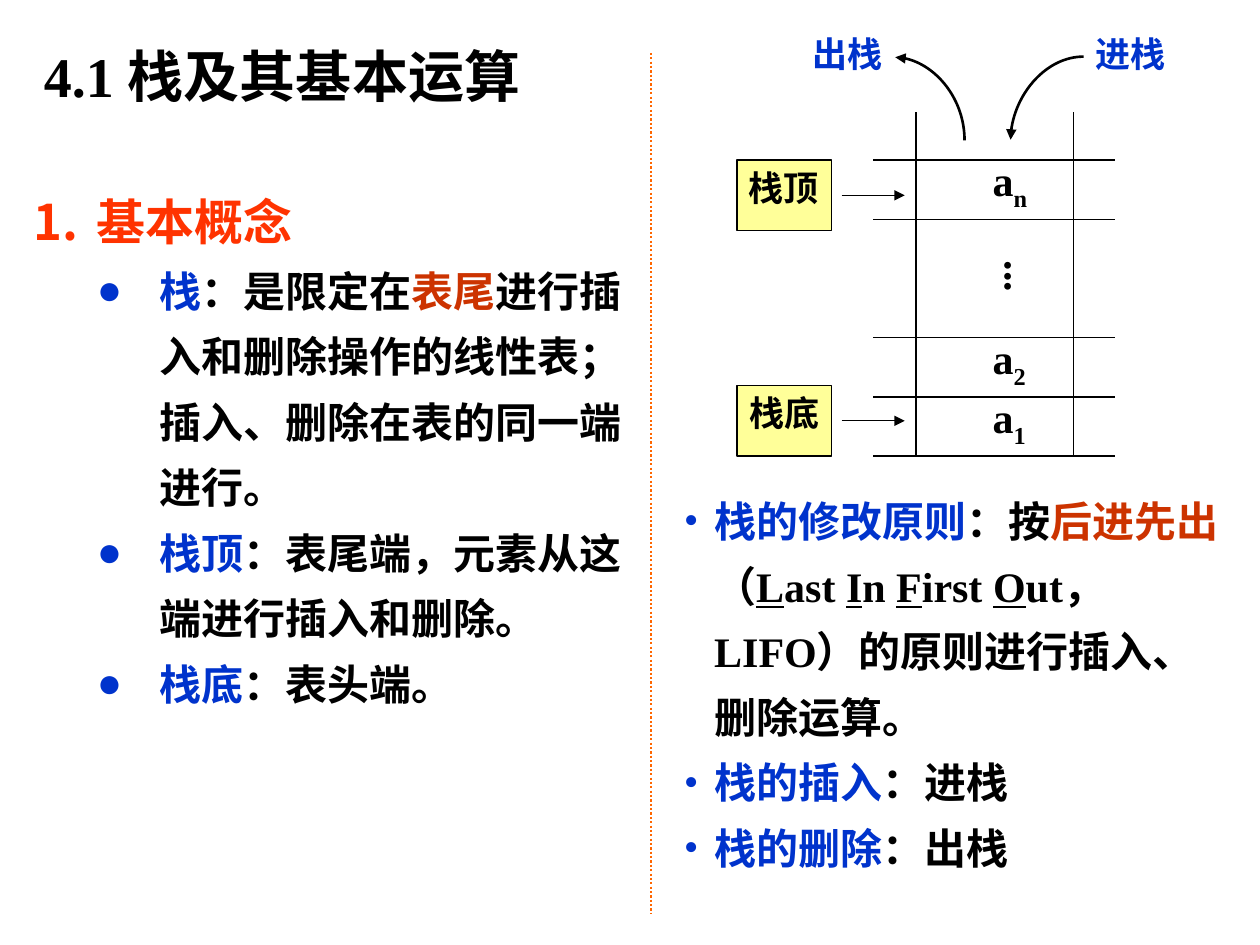
"""Build a slide on the stack data structure and its basic operations."""
from dataclasses import dataclass

import pptx
import pptx.dml.color
import pptx.enum.dml
import pptx.enum.shapes
import pptx.enum.text
import pptx.oxml.ns
import pptx.util
from lxml import etree

Inches = pptx.util.Inches
qn = pptx.oxml.ns.qn
FONT = "Times New Roman"
BLACK, BLUE, RED, ORANGE = "000000", "0033CC", "CC3300", "FF3300"


@dataclass
class Run:
    text: str
    color: str = BLACK
    underline: bool = False
    subscript: bool = False


@dataclass
class Para:
    runs: list[Run]
    size: float = 24
    spacing: float | None = None
    level: int = 0
    bullet: str = ""
    margin: float = 0
    hanging: float = 0


@dataclass
class Label:
    left: float
    top: float
    width: float
    height: float
    paras: list[Para]
    wrap: bool = True


@dataclass
class Line:
    x1: float
    y1: float
    x2: float
    y2: float
    width: float = 0.75
    color: str = BLACK
    head: bool = False
    tail: bool = False
    rotation: int | None = None


def rgb(color: str) -> pptx.dml.color.RGBColor:
    return pptx.dml.color.RGBColor.from_string(color)


def set_bullet(p, para: Para) -> None:
    pPr = p._p.get_or_add_pPr()
    pPr.set("marL", str(Inches(para.margin)))
    pPr.set("indent", str(-Inches(para.hanging)))
    clr = etree.SubElement(pPr, qn("a:buClr"))
    etree.SubElement(clr, qn("a:srgbClr"), val=para.runs[0].color)
    if para.bullet == "1.":
        etree.SubElement(pPr, qn("a:buAutoNum"), type="arabicPeriod")
    else:
        etree.SubElement(pPr, qn("a:buFont"), typeface=FONT)
        etree.SubElement(pPr, qn("a:buChar"), char=para.bullet)


def fill_para(p, para: Para) -> None:
    p.level = para.level
    if para.spacing:
        p.line_spacing = para.spacing
    if para.bullet:
        set_bullet(p, para)
    for run in para.runs:
        r = p.add_run()
        r.text = run.text
        r.font.name, r.font.size, r.font.bold = FONT, pptx.util.Pt(para.size), True
        r.font.color.rgb = rgb(run.color)
        if run.underline:
            r.font.underline = True
        if run.subscript:
            r._r.get_or_add_rPr().set("baseline", "-25000")


def add_label(s, label: Label):
    box = (label.left, label.top, label.width, label.height)
    tf = s.shapes.add_textbox(*map(Inches, box)).text_frame
    tf.word_wrap = label.wrap
    tf.auto_size = pptx.enum.text.MSO_AUTO_SIZE.SHAPE_TO_FIT_TEXT
    for i, para in enumerate(label.paras):
        fill_para(tf.add_paragraph() if i else tf.paragraphs[0], para)
    return tf


def add_line(s, line: Line):
    ends = map(Inches, (line.x1, line.y1, line.x2, line.y2))
    sp = s.shapes.add_connector(pptx.enum.shapes.MSO_CONNECTOR.STRAIGHT, *ends)
    sp.line.width = pptx.util.Pt(line.width)
    sp.line.color.rgb = rgb(line.color)
    spPr = sp._element.spPr
    if line.rotation is not None:
        spPr.find(qn("a:xfrm")).set("rot", str(line.rotation * 60000))
        spPr.find(qn("a:prstGeom")).set("prst", "curvedConnector2")
    for shown, tag in ((line.head, "a:headEnd"), (line.tail, "a:tailEnd")):
        if shown:
            etree.SubElement(spPr.find(qn("a:ln")), qn(tag), type="triangle")
    etree.SubElement(spPr, qn("a:effectLst"))
    return sp


def add_marker(s, left: float, top: float) -> None:
    box = map(Inches, (left, top, 0.75, 0.56))
    sp = s.shapes.add_shape(pptx.enum.shapes.MSO_SHAPE.RECTANGLE, *box)
    sp.shadow.inherit = False
    sp.fill.solid()
    sp.fill.fore_color.rgb = rgb("FFFF99")
    sp.line.color.rgb = rgb(BLACK)
    sp.line.width = pptx.util.Pt(0.75)


def concept(*runs: Run) -> Para:
    return Para(list(runs), 24, 1.3, 1, "●", 1, 0.5)


def rule(*runs: Run) -> Para:
    return Para(list(runs), 24, 1.3, 0, "•", 0.24, 0.24)


def element(index: str, top: float) -> Label:
    return Label(7.78, top, 0.52, 0.56, [Para([Run("a"), Run(index, subscript=True)])])


def caption(text: str, left: float, top: float, color: str = BLACK) -> Label:
    return Label(left, top, 0.8, 0.44, [Para([Run(text, color)], 20)])


def draw_stack(s) -> None:
    bottom, row = 3.62, 0.47
    for top in (3.06, 1.27):
        add_marker(s, 5.85, top)
        add_line(s, Line(6.68, top + 0.28, 7.18, top + 0.28, tail=True))
    for x in (7.27, 8.52):
        add_line(s, Line(x, 0.89, x, bottom))
    for i in (0, 1, 2, 4, 5):
        add_line(s, Line(6.93, bottom - i * row, 8.85, bottom - i * row))
    for index, top in (("n", 1.18), ("2", 2.59), ("1", 3.06)):
        add_label(s, element(index, top))
    tf = add_label(s, Label(7.76, 1.97, 0.6, 0.35, [Para([Run("...")])], False))
    tf.margin_left = tf.margin_right = Inches(0.05)
    tf.margin_top = tf.margin_bottom = Inches(0.05)
    tf._txBody.bodyPr.set("vert", "eaVert")
    for text, left, top, color in (("栈底", 5.85, 3.06, BLACK), ("栈顶", 5.84, 1.27, BLACK),
                                   ("出栈", 6.35, 0.21, BLUE), ("进栈", 8.6, 0.21, BLUE)):
        add_label(s, caption(text, left, top, color))
    add_line(s, Line(7.05, 1.06, 7.71, 0.51, 1.5, tail=True, rotation=270))
    add_line(s, Line(8.64, 1.07, 7.98, 0.49, 1.5, head=True, rotation=90))


def main() -> None:
    prs = pptx.Presentation()
    prs.slide_width, prs.slide_height = Inches(10), Inches(7.5)
    s = prs.slides.add_slide(prs.slide_layouts[6])
    title = Para([Run("4.1 栈及其基本运算")], 32, 1.2)
    tf = add_label(s, Label(0.25, 0.17, 8.5, 0.75, [title]))
    tf.auto_size = pptx.enum.text.MSO_AUTO_SIZE.NONE
    tf.vertical_anchor = pptx.enum.text.MSO_ANCHOR.MIDDLE
    add_label(s, Label(0.17, 1.33, 5.17, 4.35, [
        Para([Run("基本概念", ORANGE)], 28, 1.3, 0, "1.", 0.5, 0.5),
        concept(Run("栈", BLUE), Run("：是限定在"), Run("表尾", RED),
                Run("进行插入和删除操作的线性表；插入、删除在表的同一端进行。")),
        concept(Run("栈顶", BLUE), Run("：表尾端，元素从这端进行插入和删除。")),
        concept(Run("栈底", BLUE), Run("：表头端。")),
    ]))
    draw_stack(s)
    divider = add_line(s, Line(5.17, 0.42, 5.17, 7.25, 1.25, "FF6600"))
    divider.line.dash_style = pptx.enum.dml.MSO_LINE.ROUND_DOT
    initials = (("L", "ast "), ("I", "n "), ("F", "irst "), ("O", "ut，LIFO）的原则进行插入、删除运算。"))
    lifo = [run for first, rest in initials for run in (Run(first, underline=True), Run(rest))]
    add_label(s, Label(5.33, 3.76, 4.5, 3.22, [
        rule(Run("栈的修改原则", BLUE), Run("：按"), Run("后进先出", RED), Run("（"), *lifo),
        rule(Run("栈的插入", BLUE), Run("：进栈")),
        rule(Run("栈的删除", BLUE), Run("：出栈")),
    ]))
    prs.save("out.pptx")


if __name__ == "__main__":
    main()
